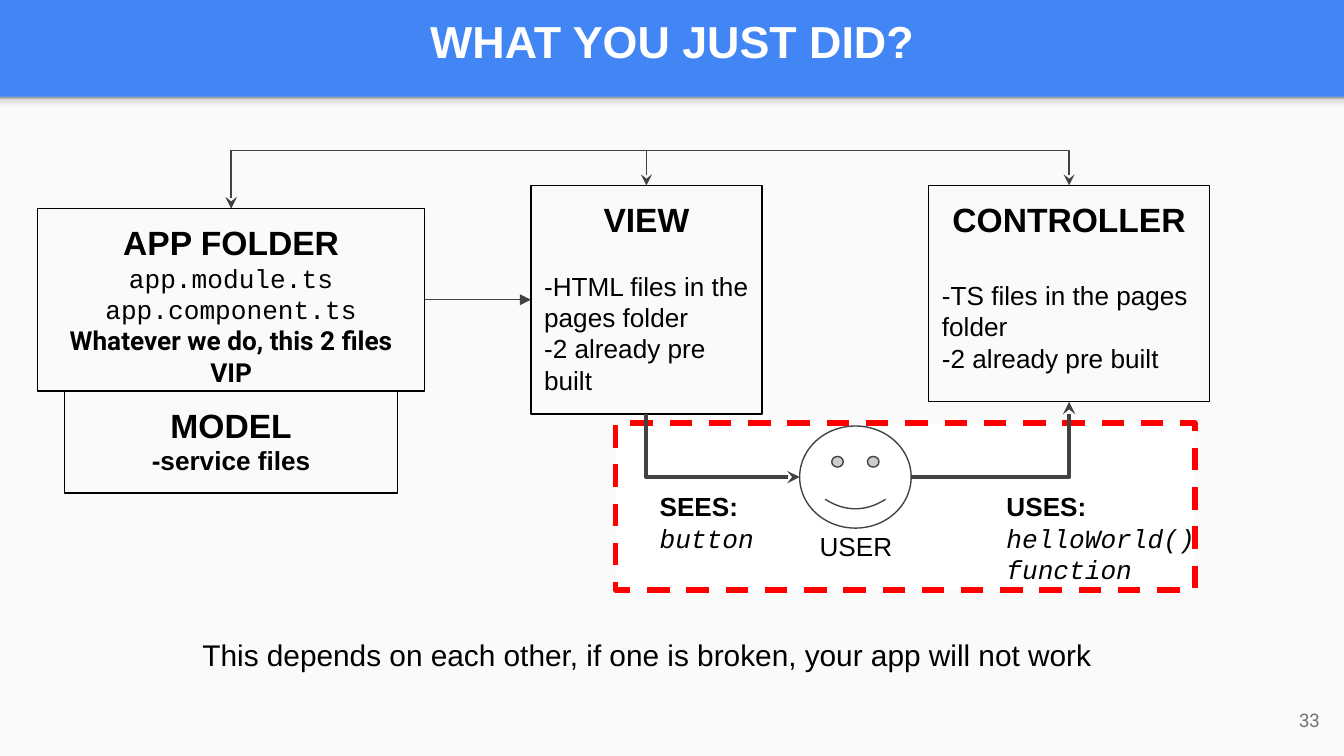
"""Builds the slide showing how app folder, view, controller and user relate."""
import pptx
import pptx.dml.color
import pptx.enum.dml
import pptx.enum.shapes
import pptx.enum.text
import pptx.oxml
import pptx.oxml.ns
import pptx.util

Inches, Pt = pptx.util.Inches, pptx.util.Pt
SHAPE = pptx.enum.shapes.MSO_SHAPE
CONNECTOR = pptx.enum.shapes.MSO_CONNECTOR
ANCHOR = pptx.enum.text.MSO_ANCHOR
LEFT, CENTER, RIGHT = (getattr(pptx.enum.text.PP_ALIGN, side) for side in ("LEFT", "CENTER", "RIGHT"))

BLUE, PAPER, WHITE, BLACK, GRAPHITE, RED, GREY = (
    "4285F4", "FAFAFA", "FFFFFF", "000000", "424242", "FF0000", "737373")
SHADE_STOPS = [(0, "F9F9F9"), (36, "F9F9F9"), (80, "DEDEDE"), (100, "999999")]

STYLES = {
    "title": {"name": "Arial", "size": Pt(24), "bold": True},
    "heading": {"name": "Arial", "size": Pt(18), "bold": True},
    "label": {"name": "Arial", "size": Pt(14), "bold": True},
    "plain": {"name": "Arial", "size": Pt(14), "bold": False},
    "code": {"name": "Courier New", "size": Pt(14), "bold": False},
    "code_italic": {"name": "Courier New", "size": Pt(14), "bold": False, "italic": True},
    "warning": {"name": "Roboto", "size": Pt(14), "bold": True},
    "closing": {"name": "Arial", "size": Pt(16), "bold": False},
    "number": {"name": "Roboto", "size": Pt(10), "bold": False},
}

TITLE = ((0.24, 0, 9.52, 0.68), [("WHAT YOU JUST DID?", "title", CENTER, 0)])
BOXES = {
    "model": ((0.48, 2.91, 2.48, 0.76), [
        ("MODEL", "heading", CENTER, 0),
        ("-service files", "label", CENTER, 0)]),
    "view": ((3.95, 1.38, 1.72, 1.7), [
        ("VIEW", "heading", CENTER, 0),
        ("-HTML files in the pages folder", "plain", LEFT, 16.5),
        ("-2 already pre built", "plain", LEFT, 0)]),
    "controller": ((6.91, 1.38, 2.09, 1.61), [
        ("CONTROLLER", "heading", CENTER, 0),
        ("-TS files in the pages folder", "plain", LEFT, 21.5),
        ("-2 already pre built", "plain", LEFT, 0)]),
    "app": ((0.28, 1.55, 2.88, 1.36), [
        ("APP FOLDER", "heading", CENTER, 0),
        ("app.module.ts", "code", CENTER, 0),
        ("app.component.ts", "code", CENTER, 0),
        ("Whatever we do, this 2 files VIP", "warning", CENTER, 0)]),
}
LABELS = [
    ((1.03, 4.64, 7.57, 0.56), ANCHOR.TOP, BLACK, [
        ("This depends on each other, if one is broken, your app will not work", "closing", CENTER, 0)]),
    ((6, 3.85, 0.84, 0.26), ANCHOR.TOP, BLACK, [("USER", "plain", LEFT, 0)]),
    ((4.81, 3.55, 0.93, 0.4), ANCHOR.TOP, BLACK, [
        ("SEES:", "label", LEFT, 0), ("button", "code_italic", LEFT, 0)]),
    ((7.39, 3.55, 1.77, 0.84), ANCHOR.TOP, BLACK, [
        ("USES:", "label", LEFT, 0),
        ("helloWorld()", "code_italic", LEFT, 0),
        ("function", "code_italic", LEFT, 0)]),
    ((9.32, 5.14, 0.6, 0.43), ANCHOR.MIDDLE, GREY, [("33", "number", RIGHT, 0)]),
]
USER_ZONE = (4.58, 3.15, 4.31, 1.24)
USER_FACE = (5.95, 3.17, 0.83, 0.76)


def rgb(value):
    return pptx.dml.color.RGBColor.from_string(value)


def inches(values):
    return [Inches(value) for value in values]


def write(shape, paragraphs, color=BLACK, anchor=ANCHOR.TOP):
    frame = shape.text_frame
    settings = {"word_wrap": True, "vertical_anchor": anchor,
                "auto_size": pptx.enum.text.MSO_AUTO_SIZE.NONE}
    settings.update({f"margin_{side}": Inches(0.1) for side in ("left", "right", "top", "bottom")})
    for key, value in settings.items():
        setattr(frame, key, value)
    for index, (words, style, align, gap) in enumerate(paragraphs):
        paragraph = frame.add_paragraph() if index else frame.paragraphs[0]
        paragraph.alignment = align
        if gap:
            paragraph.space_before = Pt(gap)
        run = paragraph.add_run()
        run.text = words
        for key, value in STYLES[style].items():
            setattr(run.font, key, value)
        run.font.color.rgb = rgb(color)


def add_figure(slide, kind, place, fill=None, line=None, width=0.75):
    figure = slide.shapes.add_shape(kind, *inches(place))
    figure.shadow.inherit = False
    if fill:
        figure.fill.solid()
        figure.fill.fore_color.rgb = rgb(fill)
    else:
        figure.fill.background()
    if line:
        figure.line.color.rgb = rgb(line)
        figure.line.width = Pt(width)
    else:
        figure.line.fill.background()
    return figure


def add_arrow(slide, kind, start, end, width=0.75, **arrowheads):
    arrow = slide.shapes.add_connector(kind, *inches(start + end))
    arrow.line.color.rgb = rgb(GRAPHITE)
    arrow.line.width = Pt(width)
    for tag, form in arrowheads.items():
        head = pptx.oxml.parse_xml(f'<a:{tag} {pptx.oxml.ns.nsdecls("a")} type="{form}"/>')
        arrow.line._get_or_add_ln().append(head)
    arrow._element.spPr.append(pptx.oxml.parse_xml(f'<a:effectLst {pptx.oxml.ns.nsdecls("a")}/>'))
    return arrow


def add_elbow(slide, start, end, preset, turn, flip=False, bend=None, **look):
    arrow = add_arrow(slide, CONNECTOR.ELBOW, start, end, **look)
    width, height = (abs(b - a) for a, b in zip(start, end))
    if turn in (90, 270):
        width, height = height, width
    center_x, center_y = ((a + b) / 2 for a, b in zip(start, end))
    xfrm = arrow._element.spPr.find(pptx.oxml.ns.qn("a:xfrm"))
    for key in list(xfrm.attrib):
        del xfrm.attrib[key]
    xfrm.set("rot", str(turn * 60000))
    if flip:
        xfrm.set("flipH", "1")
    place = inches((center_x - width / 2, center_y - height / 2, width, height))
    for key, value in zip(("left", "top", "width", "height"), place):
        setattr(arrow, key, value)
    geometry = arrow._element.spPr.find(pptx.oxml.ns.qn("a:prstGeom"))
    geometry.set("prst", preset)
    if bend is not None:
        guides = geometry.find(pptx.oxml.ns.qn("a:avLst"))
        guides.append(pptx.oxml.parse_xml(
            f'<a:gd {pptx.oxml.ns.nsdecls("a")} name="adj1" fmla="val {round(bend * 100000)}"/>'))


def add_backdrop(slide):
    slide.background.fill.solid()
    slide.background.fill.fore_color.rgb = rgb(BLUE)
    add_figure(slide, SHAPE.RECTANGLE, (0, 0.72, 10, 4.91), PAPER)
    shade = add_figure(slide, SHAPE.RECTANGLE, (0, 0.72, 10, 0.12))
    shade.fill.gradient()
    shade.fill.gradient_angle = 90
    stops = "".join(f'<a:gs pos="{pos * 1000}"><a:srgbClr val="{color}"/></a:gs>'
                    for pos, color in SHADE_STOPS)
    old = shade._element.spPr.find(".//" + pptx.oxml.ns.qn("a:gsLst"))
    old.getparent().replace(old, pptx.oxml.parse_xml(
        f'<a:gsLst {pptx.oxml.ns.nsdecls("a")}>{stops}</a:gsLst>'))


def middle(place, side):
    left, top, width, height = place
    return {"top": (left + width / 2, top), "bottom": (left + width / 2, top + height),
            "left": (left, top + height / 2), "right": (left + width, top + height / 2)}[side]


def main():
    deck = pptx.Presentation()
    deck.slide_width = Inches(10)
    deck.slide_height = Inches(10) * 9 // 16
    slide = deck.slides.add_slide(deck.slide_layouts[5])
    add_backdrop(slide)

    title = slide.shapes.title
    for key, value in zip(("left", "top", "width", "height"), inches(TITLE[0])):
        setattr(title, key, value)
    write(title, TITLE[1], WHITE)

    zone = add_figure(slide, SHAPE.RECTANGLE, USER_ZONE, WHITE, RED, 3)
    zone.line.dash_style = pptx.enum.dml.MSO_LINE.DASH
    places, boxes = {}, {}
    for part, (place, paragraphs) in BOXES.items():
        places[part] = place
        boxes[part] = add_figure(slide, SHAPE.RECTANGLE, place, line=BLACK)
        write(boxes[part], paragraphs)

    face = add_figure(slide, SHAPE.SMILEY_FACE, USER_FACE, WHITE, GRAPHITE)
    face.adjustments[0] = 0.047
    for place, anchor, color, paragraphs in LABELS:
        write(slide.shapes.add_textbox(*inches(place)), paragraphs, color, anchor)

    for part in ("controller", "view"):
        add_elbow(slide, middle(places[part], "top"), middle(places["app"], "top"),
                  "bentConnector3", 90, bend=-1.53, headEnd="stealth", tailEnd="stealth")
    add_elbow(slide, middle(places["view"], "bottom"), middle(USER_FACE, "left"),
              "bentConnector2", 270, True, width=2.25, tailEnd="stealth")
    add_elbow(slide, middle(USER_FACE, "right"), middle(places["controller"], "bottom"),
              "bentConnector2", 180, True, width=2.25, tailEnd="stealth")
    link = add_arrow(slide, CONNECTOR.STRAIGHT, middle(places["app"], "right"),
                     middle(places["view"], "left"), tailEnd="triangle")
    link.begin_connect(boxes["app"], 3)
    link.end_connect(boxes["view"], 1)
    deck.save("out.pptx")


if __name__ == "__main__":
    main()
